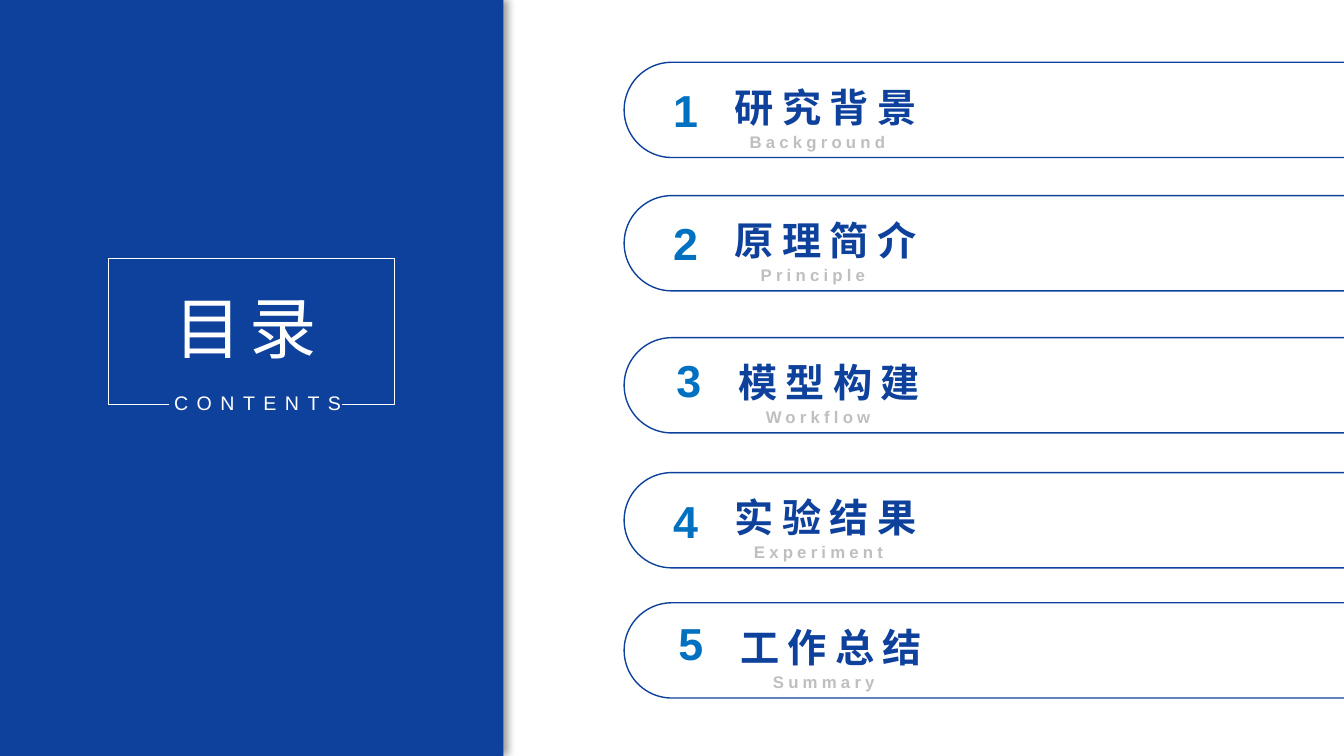
from lxml.etree import SubElement
from pptx import Presentation
from pptx.dml.color import RGBColor
from pptx.enum.shapes import MSO_SHAPE
from pptx.enum.text import MSO_ANCHOR, MSO_AUTO_SIZE, PP_ALIGN
from pptx.oxml import parse_xml
from pptx.oxml.ns import nsdecls, qn
from pptx.util import Cm, Pt

BLUE = "0E419C"
WHITE = "FFFFFF"


def color(hex_string):
    return RGBColor.from_string(hex_string)


def write(box, text, size, hex_string, spacing=0, bold=False, align=PP_ALIGN.LEFT,
          wrap=False, anchor=MSO_ANCHOR.TOP):
    frame = box.text_frame
    frame.auto_size = MSO_AUTO_SIZE.NONE
    frame.word_wrap = wrap
    frame.vertical_anchor = anchor
    paragraph = frame.paragraphs[0]
    paragraph.text = text
    paragraph.alignment = align
    font = paragraph.font
    font.name = "Arial"
    font.size = Pt(size)
    font.bold = bold
    font.color.rgb = color(hex_string)
    font._rPr.set("spc", str(spacing * 100))
    SubElement(font._rPr, qn("a:ea")).set("typeface", "Arial")


presentation = Presentation()
presentation.slide_width = Cm(33.87)
presentation.slide_height = Cm(19.05)
slide = presentation.slides.add_slide(presentation.slide_layouts[5])
shapes = slide.shapes

panel = shapes.add_shape(MSO_SHAPE.RECTANGLE, Cm(-0.03), 0, Cm(12.72), Cm(19.05))
panel.fill.solid()
panel.fill.fore_color.rgb = color(BLUE)
panel.line.fill.background()
panel._element.spPr.append(parse_xml(
    f'<a:effectLst {nsdecls("a")}>'
    f'<a:outerShdw blurRad="{Pt(6)}" dist="{Pt(3)}" dir="0" algn="l" rotWithShape="0">'
    '<a:srgbClr val="000000"><a:alpha val="40000"/></a:srgbClr>'
    '</a:outerShdw></a:effectLst>'))

heading = shapes.title
heading._element.addprevious(panel._element)
heading.left, heading.top, heading.width, heading.height = Cm(4.14), Cm(7.09), Cm(4.37), Cm(2.31)
write(heading, "目录", 48, WHITE, spacing=6)

caption = shapes.add_textbox(Cm(4.14), Cm(9.73), Cm(4.98), Cm(0.86))
write(caption, "CONTENTS", 14, WHITE, spacing=6)

frame_path = [(2.74, 10.2), (2.74, 6.52), (9.93, 6.52), (9.93, 10.2), (8.62, 10.2)]
frame_builder = shapes.build_freeform(Cm(4.27), Cm(10.2))
frame_builder.add_line_segments([(Cm(x), Cm(y)) for x, y in frame_path], close=False)
title_frame = frame_builder.convert_to_shape()
title_frame.shadow.inherit = False
title_frame.fill.background()
title_frame.line.color.rgb = color(WHITE)
title_frame.line.width = Pt(0.5)

sections = [
    ("研究背景", "Background", 1.57, 16.1, 0.38, 18.64),
    ("原理简介", "Principle", 4.93, 16.1, 0.38, 18.92),
    ("模型构建", "Workflow", 8.51, 16.18, 0.25, 19.05),
    ("实验结果", "Experiment", 11.91, 16.1, 0.41, 18.75),
    ("工作总结", "Summary", 15.19, 16.23, 0.2, 19.23),
]
for number, (name, translation, top, number_left, number_drop, translation_left) in enumerate(sections, 1):
    pill = shapes.add_shape(MSO_SHAPE.ROUNDED_RECTANGLE, Cm(15.73), Cm(top), Cm(22.81), Cm(2.4))
    pill.adjustments[0] = 0.5
    pill.shadow.inherit = False
    pill.fill.background()
    pill.line.color.rgb = color(BLUE)
    pill.line.width = Pt(1)

    number_box = shapes.add_textbox(Cm(number_left), Cm(top + number_drop), Cm(2.36), Cm(1.62))
    write(number_box, str(number), 32, "0070C0", bold=True, align=PP_ALIGN.CENTER,
          wrap=True, anchor=MSO_ANCHOR.MIDDLE)

    name_box = shapes.add_textbox(Cm(number_left + 2.03), Cm(top + 0.4), Cm(5.36), Cm(1.45))
    write(name_box, name, 28, BLUE, spacing=6, bold=True, align=PP_ALIGN.CENTER)

    translation_box = shapes.add_textbox(Cm(translation_left), Cm(top + 1.62), Cm(9.04), Cm(0.76))
    write(translation_box, translation, 12, "BFBFBF", spacing=3, bold=True, wrap=True)

presentation.save("out.pptx")
